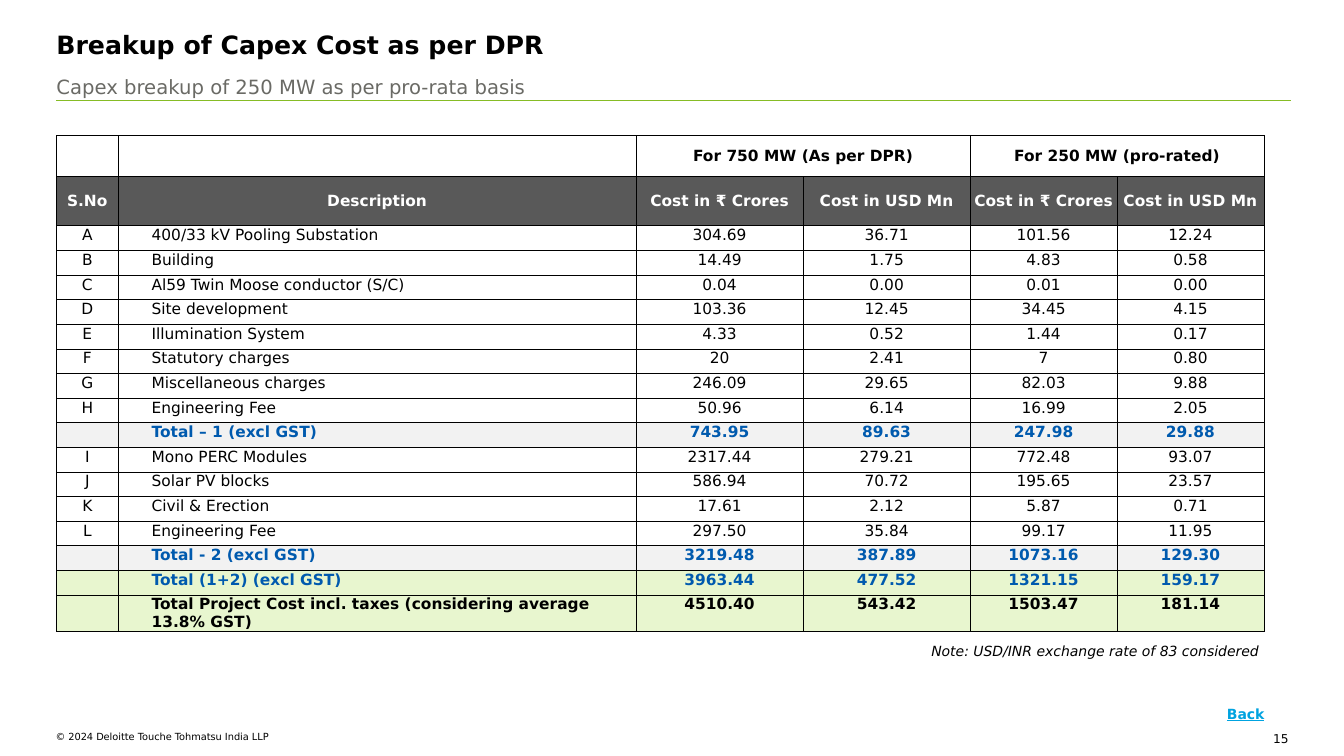
from dataclasses import dataclass
from typing import Optional

from lxml.etree import SubElement
from pptx import Presentation
from pptx.dml.color import RGBColor
from pptx.enum.shapes import MSO_CONNECTOR, MSO_SHAPE
from pptx.enum.text import MSO_ANCHOR, MSO_AUTO_SIZE, PP_ALIGN
from pptx.oxml.ns import qn
from pptx.util import Cm, Pt

FONT = "DejaVu Sans"
BLACK = RGBColor(0x00, 0x00, 0x00)
WHITE = RGBColor(0xFF, 0xFF, 0xFF)
GREY_TEXT = RGBColor(0x6A, 0x6A, 0x65)
GREEN_RULE = RGBColor(0x86, 0xBC, 0x25)
LINK_BLUE = RGBColor(0x00, 0xA3, 0xE0)
TOTAL_BLUE = RGBColor(0x00, 0x5A, 0xAE)
HEADER_GREY = RGBColor(0x59, 0x59, 0x59)
SUBTOTAL_GREY = RGBColor(0xF2, 0xF2, 0xF2)
TOTAL_GREEN = RGBColor(0xE8, 0xF6, 0xCF)

LEFT = 1.42
COLUMN_WIDTHS = (1.56, 13.05, 4.21, 4.21, 3.7, 3.7)
GROUP_HEIGHT, HEADING_HEIGHT, ITEM_HEIGHT, LAST_HEIGHT = 1.04, 1.24, 0.62, 0.92


@dataclass(frozen=True)
class TextStyle:
    size: float
    color: RGBColor = BLACK
    bold: bool = False
    italic: bool = False
    underline: bool = False


@dataclass(frozen=True)
class RowStyle:
    text: TextStyle
    fill: Optional[RGBColor] = None
    header: bool = False


@dataclass(frozen=True)
class CostRow:
    texts: tuple[str, ...]
    style: RowStyle


@dataclass(frozen=True)
class Label:
    text: str
    box: tuple[float, float, float, float]
    style: TextStyle
    align: PP_ALIGN = PP_ALIGN.LEFT
    anchor: MSO_ANCHOR = MSO_ANCHOR.TOP
    inset: float = 0
    line_spacing: float = 1.0


GROUP = RowStyle(TextStyle(11, bold=True), header=True)
HEADING = RowStyle(TextStyle(11, WHITE, bold=True), HEADER_GREY, header=True)
ITEM = RowStyle(TextStyle(11))
SUBTOTAL = RowStyle(TextStyle(11, TOTAL_BLUE, bold=True), SUBTOTAL_GREY)
TOTAL = RowStyle(TextStyle(11, TOTAL_BLUE, bold=True), TOTAL_GREEN)
PROJECT = RowStyle(TextStyle(11, bold=True), TOTAL_GREEN)

COST_ROWS = [
    CostRow(("", "", "For 750 MW (As per DPR)", "", "For 250 MW (pro-rated)", ""), GROUP),
    CostRow(("S.No", "Description") + ("Cost in ₹ Crores", "Cost in USD Mn") * 2, HEADING),
    CostRow(("A", "400/33 kV Pooling Substation", "304.69", "36.71", "101.56", "12.24"), ITEM),
    CostRow(("B", "Building", "14.49", "1.75", "4.83", "0.58"), ITEM),
    CostRow(("C", "Al59 Twin Moose conductor (S/C)", "0.04", "0.00", "0.01", "0.00"), ITEM),
    CostRow(("D", "Site development", "103.36", "12.45", "34.45", "4.15"), ITEM),
    CostRow(("E", "Illumination System", "4.33", "0.52", "1.44", "0.17"), ITEM),
    CostRow(("F", "Statutory charges", "20", "2.41", "7", "0.80"), ITEM),
    CostRow(("G", "Miscellaneous charges", "246.09", "29.65", "82.03", "9.88"), ITEM),
    CostRow(("H", "Engineering Fee", "50.96", "6.14", "16.99", "2.05"), ITEM),
    CostRow(("", "Total – 1 (excl GST)", "743.95", "89.63", "247.98", "29.88"), SUBTOTAL),
    CostRow(("I", "Mono PERC Modules", "2317.44", "279.21", "772.48", "93.07"), ITEM),
    CostRow(("J", "Solar PV blocks", "586.94", "70.72", "195.65", "23.57"), ITEM),
    CostRow(("K", "Civil & Erection", "17.61", "2.12", "5.87", "0.71"), ITEM),
    CostRow(("L", "Engineering Fee", "297.50", "35.84", "99.17", "11.95"), ITEM),
    CostRow(("", "Total - 2 (excl GST)", "3219.48", "387.89", "1073.16", "129.30"), SUBTOTAL),
    CostRow(("", "Total (1+2) (excl GST)", "3963.44", "477.52", "1321.15", "159.17"), TOTAL),
    CostRow(("", "Total Project Cost incl. taxes (considering average 13.8% GST)",
             "4510.40", "543.42", "1503.47", "181.14"), PROJECT),
]

TITLE = Label("Breakup of Capex Cost as per DPR", (LEFT, 0.74, 30.81, 0.84),
              TextStyle(18, bold=True))
SUBTITLE = Label("Capex breakup of 250 MW as per pro-rata basis", (LEFT, 1.75, 31.09, 0.91),
                 TextStyle(14, GREY_TEXT))
BACK = Label("Back", (30.07, 17.58, 2.44, 0.81),
             TextStyle(10, LINK_BLUE, bold=True, underline=True),
             PP_ALIGN.CENTER, MSO_ANCHOR.MIDDLE, 0.25, 1.06)
TEXT_BOXES = [
    Label("Note: USD/INR exchange rate of 83 considered", (23.22, 16.1, 9.88, 0.58),
          TextStyle(10, italic=True), PP_ALIGN.JUSTIFY, MSO_ANCHOR.MIDDLE, 0.25, 1.06),
    Label("© 2024 Deloitte Touche Tohmatsu India LLP", (1.4, 18.42, 14.88, 0.56), TextStyle(7)),
    Label("15", (31.62, 18.42, 0.86, 0.28), TextStyle(8.7), PP_ALIGN.RIGHT),
]


def add_styled_run(paragraph, text: str, style: TextStyle) -> None:
    run = paragraph.add_run()
    run.text = text
    font = run.font
    font.name, font.size, font.color.rgb = FONT, Pt(style.size), style.color
    font.bold, font.italic, font.underline = style.bold, style.italic, style.underline


def write_label(holder, label: Label) -> None:
    holder.left, holder.top, holder.width, holder.height = map(Cm, label.box)
    frame = holder.text_frame
    frame.word_wrap = True
    frame.auto_size = MSO_AUTO_SIZE.NONE
    frame.vertical_anchor = label.anchor
    frame.margin_left = frame.margin_right = Cm(label.inset)
    frame.margin_top = frame.margin_bottom = Cm(label.inset)
    paragraph = frame.paragraphs[0]
    paragraph.alignment = label.align
    paragraph.line_spacing = label.line_spacing
    paragraph.space_before = Pt(0)
    add_styled_run(paragraph, label.text, label.style)


def add_borders(cell) -> None:
    properties = cell._tc.get_or_add_tcPr()
    for side in ("a:lnL", "a:lnR", "a:lnT", "a:lnB"):
        border = SubElement(properties, qn(side), w=str(Pt(0.5)))
        SubElement(SubElement(border, qn("a:solidFill")), qn("a:srgbClr"), val=str(BLACK))


def write_cell(cell, text: str, style: RowStyle, indented: bool) -> None:
    add_borders(cell)
    if style.fill is None:
        cell.fill.background()
    else:
        cell.fill.solid()
        cell.fill.fore_color.rgb = style.fill
    cell.vertical_anchor = MSO_ANCHOR.MIDDLE if style.header else MSO_ANCHOR.TOP
    cell.margin_left = Cm(0.84 if indented else 0.02)
    cell.margin_right = cell.margin_top = Cm(0.02)
    cell.margin_bottom = 0
    paragraph = cell.text_frame.paragraphs[0]
    paragraph.alignment = PP_ALIGN.LEFT if indented else PP_ALIGN.CENTER
    if text:
        add_styled_run(paragraph, text, style.text)
    else:
        SubElement(paragraph._p, qn("a:endParaRPr"), sz=str(int(style.text.size * 100)))


def add_cost_table(slide) -> None:
    heights = [GROUP_HEIGHT, HEADING_HEIGHT]
    heights += [ITEM_HEIGHT] * (len(COST_ROWS) - 3) + [LAST_HEIGHT]
    costs = slide.shapes.add_table(
        len(COST_ROWS), len(COLUMN_WIDTHS), Cm(LEFT), Cm(3.41),
        Cm(sum(COLUMN_WIDTHS)), Cm(sum(heights))).table
    costs.first_row = costs.horz_banding = False
    for column, width in zip(costs.columns, COLUMN_WIDTHS):
        column.width = Cm(width)
    for row, height, cost_row in zip(costs.rows, heights, COST_ROWS):
        row.height = Cm(height)
        for index, (cell, text) in enumerate(zip(row.cells, cost_row.texts)):
            write_cell(cell, text, cost_row.style, index == 1 and not cost_row.style.header)
    for first in (2, 4):
        costs.cell(0, first).merge(costs.cell(0, first + 1))


def main() -> None:
    deck = Presentation()
    deck.slide_width, deck.slide_height = Cm(33.87), Cm(19.05)
    slide = deck.slides.add_slide(deck.slide_layouts[1])

    # Title, subtitle without bullet, and green rule
    write_label(slide.shapes.title, TITLE)
    subtitle = slide.placeholders[1]
    subtitle_properties = subtitle.text_frame.paragraphs[0]._p.get_or_add_pPr()
    subtitle_properties.set("marL", "0")
    subtitle_properties.set("indent", "0")
    SubElement(subtitle_properties, qn("a:buNone"))
    write_label(subtitle, SUBTITLE)
    subtitle.text_frame.margin_top = subtitle.text_frame.margin_bottom = Cm(0.13)
    rule = slide.shapes.add_connector(
        MSO_CONNECTOR.STRAIGHT, Cm(LEFT), Cm(2.54), Cm(32.54), Cm(2.54))
    rule.line.color.rgb, rule.line.width = GREEN_RULE, Pt(1)
    SubElement(rule._element.spPr, qn("a:effectLst"))

    # Cost table
    add_cost_table(slide)

    # Back button
    back = slide.shapes.add_shape(MSO_SHAPE.RIGHT_ARROW, *map(Cm, BACK.box))
    back.shadow.inherit = False
    back.fill.background()
    back.line.fill.background()
    back.rotation = 180
    back._element.spPr.find(qn("a:xfrm")).set("flipV", "1")
    write_label(back, BACK)

    # Note and footer
    for label in TEXT_BOXES:
        write_label(slide.shapes.add_textbox(*map(Cm, label.box)), label)

    deck.save("out.pptx")


if __name__ == "__main__":
    main()
